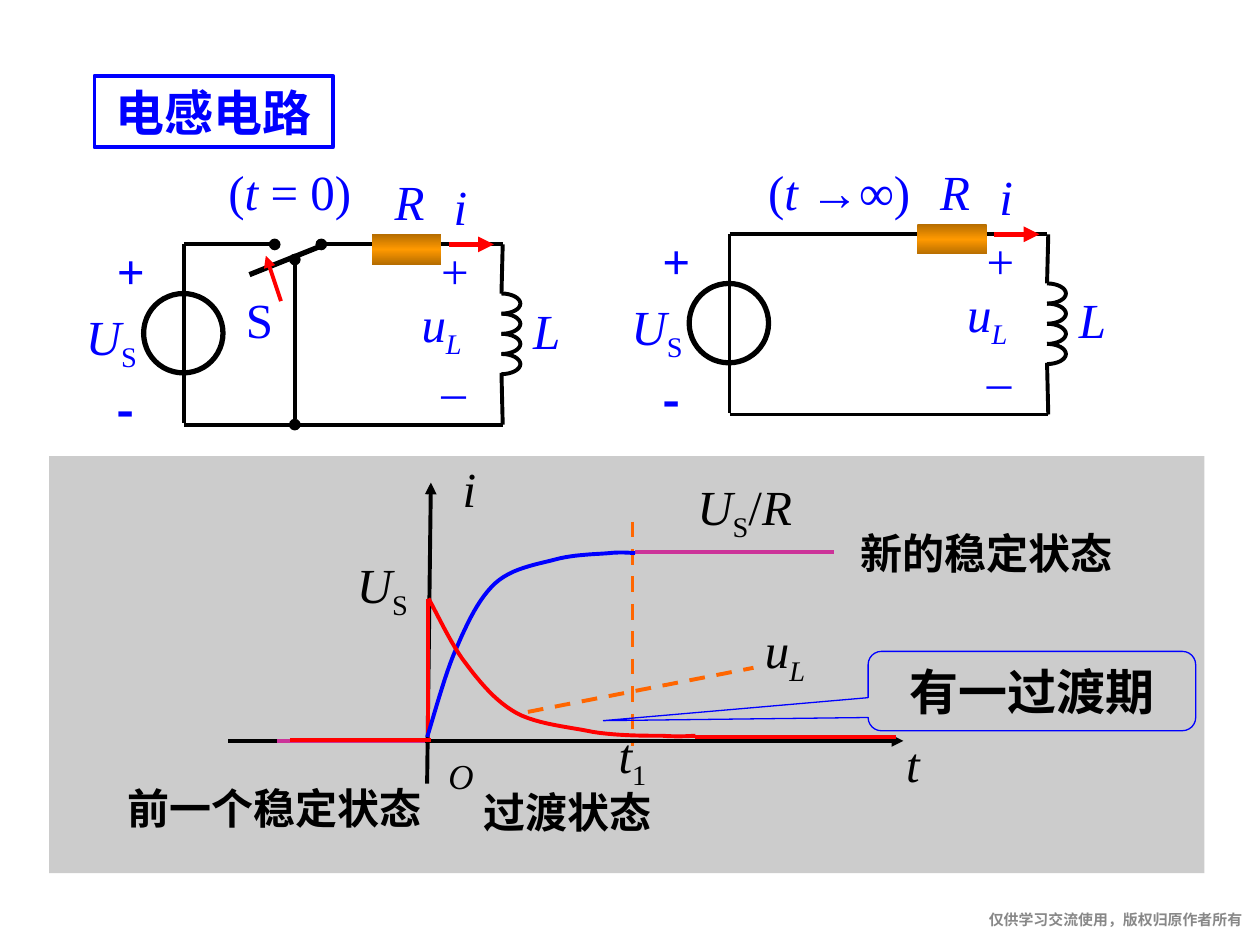
from copy import deepcopy
from math import cos, pi, sin

from lxml.etree import SubElement
from pptx import Presentation
from pptx.dml.color import RGBColor
from pptx.enum.dml import MSO_LINE
from pptx.enum.shapes import MSO_CONNECTOR, MSO_SHAPE
from pptx.enum.text import MSO_ANCHOR, PP_ALIGN
from pptx.oxml.ns import qn
from pptx.util import Inches, Pt

BLUE, BLACK, RED, ORANGE, PURPLE = "0000FF", "000000", "FF0000", "FF6600", "CC3399"
SERIF, SANS, CJK = "Times New Roman", "Arial", "Noto Sans CJK SC"

# Runs are (text, flags): i = italic, s = subscript.
U_S = [("U", "i"), ("S", "s")]
U_L = [("u", "i"), ("L", "is")]

STATE_NAMES = [  # text, left, top, width
    ("前一个稳定状态", 0.79, 6.16, 2.99),
    ("过渡状态", 3.62, 6.19, 1.89),
    ("新的稳定状态", 6.61, 4.14, 2.84),
]
GRAPH_LABELS = [  # runs, left, top, width, size
    ([("t", "i"), ("1", "s")], 4.8, 5.73, 0.44, 28),
    (U_S + [("/", ""), ("R", "i")], 5.42, 3.76, 0.98, 28),
    ([("i", "i")], 3.57, 3.59, 0.31, 28),
    ([("t", "i")], 7.09, 5.77, 0.31, 28),
    ([("O", "i")], 3.46, 5.94, 0.4, 20),
    (U_L, 5.96, 4.9, 0.54, 28),
    (U_S, 2.72, 4.38, 0.63, 28),
]
GRAPH_LINES = [  # start, end, colour, format
    ((5.02, 4.14), (5.02, 5.92), ORANGE, {"dashed": True}),
    ((5.04, 4.38), (6.62, 4.38), PURPLE, {}),
    ((1.81, 5.88), (7.17, 5.88), BLACK, {"tail": "triangle"}),
    ((3.39, 6.22), (3.42, 3.83), BLACK, {"tail": "triangle"}),
    ((2.2, 5.88), (3.37, 5.88), PURPLE, {}),
    ((2.3, 5.87), (3.42, 5.87), RED, {}),
    ((5.52, 5.85), (7.11, 5.85), RED, {}),
    ((3.4, 4.75), (3.4, 5.85), RED, {}),
    ((4.19, 5.65), (5.98, 5.3), ORANGE, {"dashed": True}),
]
CURRENT_CURVE = [
    (3.39, 5.85), (3.43, 5.73), (3.53, 5.35), (3.62, 5.15), (3.71, 4.94), (3.8, 4.75),
    (3.93, 4.63), (4.06, 4.51), (4.26, 4.48), (4.41, 4.44), (4.56, 4.4), (4.73, 4.4),
    (4.84, 4.39), (4.94, 4.38), (5.01, 4.39), (5.04, 4.39),
]
VOLTAGE_CURVE = [
    (3.4, 4.75), (3.45, 4.83), (3.58, 5.12), (3.7, 5.27), (3.82, 5.43), (3.94, 5.57),
    (4.1, 5.66), (4.27, 5.75), (4.52, 5.77), (4.71, 5.81), (4.9, 5.84), (5.13, 5.84),
    (5.26, 5.84), (5.4, 5.85), (5.49, 5.84), (5.52, 5.84),
]

# Parts both circuits share, placed as in the first circuit.
CIRCUIT_LABELS = [  # runs, left, top, width, format
    ("-", 0.83, 2.96, 0.63, {"font": CJK, "bold": True, "align": PP_ALIGN.LEFT}),
    ("+", 0.83, 1.86, 0.63, {"bold": True, "align": PP_ALIGN.LEFT}),
    ("+", 3.4, 1.86, 0.42, {}),
    ("–", 3.4, 2.81, 0.4, {}),
    (U_L, 3.19, 2.31, 0.63, {}),
    (U_S, 0.57, 2.41, 0.63, {}),
    ([("R", "i")], 3.03, 1.31, 0.44, {}),
    ([("L", "i")], 4.13, 2.33, 0.42, {}),
    ([("i", "i")], 3.5, 1.35, 0.31, {}),
]
CIRCUIT_WIRES = [
    ((1.46, 3.37), (3.99, 3.37)),
    ((1.46, 1.94), (1.46, 3.36)),
    ((3.99, 1.94), (3.98, 2.33)),
    ((3.99, 3.37), (3.98, 2.96)),
]
SWITCH_LINES = [
    ((1.46, 1.94), (2.18, 1.94), BLACK, {"tail": "oval"}),
    ((3.99, 1.94), (2.55, 1.94), BLACK, {"tail": "oval"}),
    ((2.58, 1.94), (1.98, 2.18), BLACK, {"width": 3}),
    ((2.34, 2.06), (2.34, 3.37), BLACK, {"head": "oval", "tail": "oval"}),
    ((2.23, 2.39), (2.11, 2.03), RED, {"tail": "triangle"}),
]
SECOND_CIRCUIT_SHIFT = (4.33, -0.08)
COIL_TURNS, COIL_PITCH = 4, 0.16

prs = Presentation()
prs.slide_width, prs.slide_height = Inches(10), Inches(7.5)
slide = prs.slides.add_slide(prs.slide_layouts[6])
shapes = slide.shapes


def rgb(color):
    return RGBColor.from_string(color)


def write(frame, runs, size=28, font=SERIF, color=BLACK, bold=False,
          align=PP_ALIGN.CENTER, anchor=MSO_ANCHOR.MIDDLE, wrap=False, inset=(0.1, 0.05)):
    frame.word_wrap = wrap
    frame.vertical_anchor = anchor
    frame.margin_left = frame.margin_right = Inches(inset[0])
    frame.margin_top = frame.margin_bottom = Inches(inset[1])
    paragraph = frame.paragraphs[0]
    paragraph.alignment = align
    for text, flags in [(runs, "")] if isinstance(runs, str) else runs:
        run = paragraph.add_run()
        run.text = text
        run.font.size, run.font.name, run.font.bold = Pt(size), font, bold
        run.font.italic = "i" in flags
        run.font.color.rgb = rgb(color)
        properties = run._r.get_or_add_rPr()
        if "s" in flags:
            properties.set("baseline", "-25000")
        if any("\u4e00" <= letter <= "\u9fff" for letter in text):
            properties.find(qn("a:latin")).addnext(
                SubElement(properties, qn("a:ea"), typeface=CJK))


def label(runs, left, top, width, height=0.57, **style):
    box = shapes.add_textbox(Inches(left), Inches(top), Inches(width), Inches(height))
    write(box.text_frame, runs, **style)


def shape(kind, left, top, width, height, fill=None, line=None, weight=2.25):
    part = shapes.add_shape(kind, Inches(left), Inches(top), Inches(width), Inches(height))
    finish(part, fill, line, weight)
    return part


def finish(part, fill, line, weight):
    part.shadow.inherit = False
    if fill:
        part.fill.solid()
        part.fill.fore_color.rgb = rgb(fill)
    else:
        part.fill.background()
    if line:
        part.line.color.rgb, part.line.width = rgb(line), Pt(weight)
    else:
        part.line.fill.background()


def connect(start, end, color, width=2.25, dashed=False, head=None, tail=None):
    part = shapes.add_connector(MSO_CONNECTOR.STRAIGHT, *map(Inches, start + end))
    part.line.color.rgb, part.line.width = rgb(color), Pt(width)
    if dashed:
        part.line.dash_style = MSO_LINE.DASH
    properties = part._element.spPr
    for tag, kind in (("a:headEnd", head), ("a:tailEnd", tail)):
        if kind:
            SubElement(properties.find(qn("a:ln")), qn(tag), type=kind)
    SubElement(properties, qn("a:effectLst"))


def outline(points, color):
    first, *rest = [(Inches(x), Inches(y)) for x, y in points]
    builder = shapes.build_freeform(*first)
    builder.add_line_segments(rest, close=False)
    finish(builder.convert_to_shape(), None, color, 2.25)


def bezier(controls, steps=12):
    """Sample a chain of cubic Bezier pieces that share their end points."""
    points = [controls[0]]
    for k in range(0, len(controls) - 1, 3):
        for t in (n / steps for n in range(1, steps + 1)):
            weights = ((1 - t) ** 3, 3 * t * (1 - t) ** 2, 3 * t * t * (1 - t), t ** 3)
            points.append(tuple(sum(w * p[axis] for w, p in zip(weights, controls[k:k + 4]))
                                for axis in (0, 1)))
    return points


def resistor(left, top):
    part = shape(MSO_SHAPE.RECTANGLE, left, top, 0.55, 0.24)
    part.fill.gradient()
    part.fill.gradient_angle = 90
    stops = part._element.spPr.find(".//" + qn("a:gsLst"))
    stops.insert(1, deepcopy(stops[0]))
    stops[1].set("pos", "50000")
    for stop, color in zip(part.fill.gradient_stops, ("B66D00", "FF9900", "B66D00")):
        stop.color.rgb = rgb(color)


def circuit(dx, dy, lines):
    """Draw the shared circuit, moved by dx and dy, with its own extra lines."""
    def moved(point):
        return point[0] + dx, point[1] + dy

    shape(MSO_SHAPE.OVAL, 1.14 + dx, 2.33 + dy, 0.63, 0.63, line=BLACK, weight=3)
    for start, end in CIRCUIT_WIRES:
        connect(moved(start), moved(end), BLACK)
    for start, end, color, style in lines:
        connect(moved(start), moved(end), color, **style)
    connect(moved((3.56, 1.94)), moved((3.92, 1.94)), RED, width=3, tail="triangle")
    resistor(2.95 + dx, 1.86 + dy)
    for turn in range(COIL_TURNS):
        middle = 2.41 + turn * COIL_PITCH
        angles = [pi * (n / 16 - 0.5) for n in range(17)]
        outline([moved((3.98 + 0.15 * cos(a), middle + 0.08 * sin(a))) for a in angles], BLACK)
    for runs, left, top, width, style in CIRCUIT_LABELS:
        label(runs, left + dx, top + dy, width, color=BLUE, **style)


shape(MSO_SHAPE.RECTANGLE, 0.39, 3.62, 9.17, 3.31, fill="CCCCCC")
title = shape(MSO_SHAPE.RECTANGLE, 0.75, 0.6, 1.89, 0.57, line=BLUE)
write(title.text_frame, "电感电路", font=SANS, color=BLUE, bold=True, wrap=True)

for name, left, top, width in STATE_NAMES:
    label(name, left, top, width, 0.5, size=24, bold=True, align=PP_ALIGN.LEFT,
          wrap=True, inset=(0.22, 0.05))
for start, end, color, style in GRAPH_LINES:
    connect(start, end, color, **style)
outline(bezier(CURRENT_CURVE), BLUE)
outline(bezier(VOLTAGE_CURVE), RED)
for runs, left, top, width, size in GRAPH_LABELS:
    label(runs, left, top, width, 0.43 if size == 20 else 0.57, size=size)

callout = shape(MSO_SHAPE.ROUNDED_RECTANGULAR_CALLOUT, 6.89, 5.17, 2.6, 0.63,
                line=BLUE, weight=0.75)
for index, value in enumerate((-1.308, 0.373, 0.167)):
    callout.adjustments[index] = value
write(callout.text_frame, "有一过渡期", font=SANS, bold=True, wrap=True)

circuit(0, 0, SWITCH_LINES)
label("S", 1.85, 2.25, 0.42, color=BLUE)
label([("(", ""), ("t ", "i"), ("= 0)", "")], 1.71, 1.23, 1.18, color=BLUE)
circuit(*SECOND_CIRCUIT_SHIFT, [((1.46, 1.94), (3.98, 1.94), BLACK, {})])
label([("(", ""), ("t →", "i"), ("∞)", "")], 5.99, 1.23, 1.34, color=BLUE)

label("仅供学习交流使用，版权归原作者所有", 6.06, 7.23, 3.8, 0.22, size=8.5, font=SANS,
      color="888888", bold=True, align=PP_ALIGN.RIGHT, anchor=MSO_ANCHOR.TOP, inset=(0, 0))

prs.save("out.pptx")
